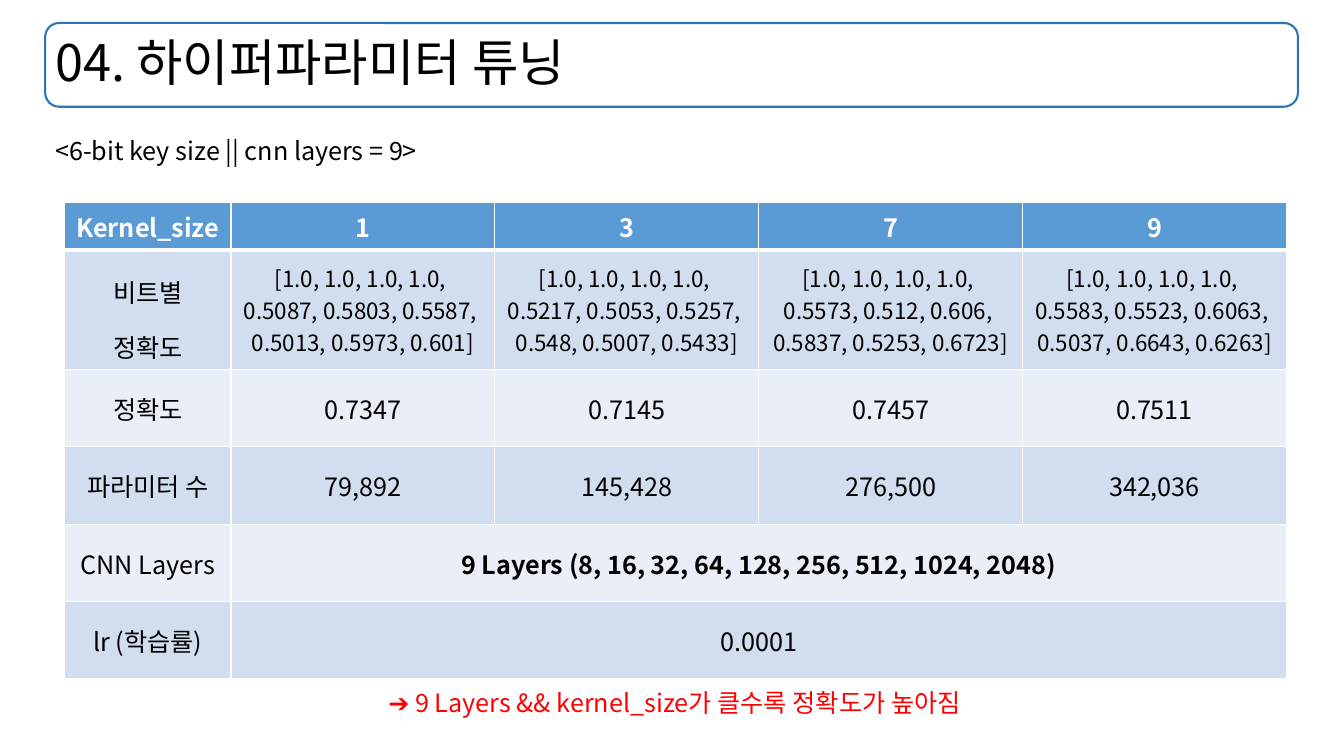
from dataclasses import dataclass

import pptx
import pptx.dml.color
import pptx.enum.shapes
import pptx.enum.text
import pptx.oxml
import pptx.oxml.ns
import pptx.util
from pptx.dml.color import RGBColor
from pptx.enum.text import MSO_ANCHOR, MSO_AUTO_SIZE, PP_ALIGN
from pptx.util import Cm, Pt

FONT = "Noto Sans CJK KR"
BLACK = RGBColor(0x00, 0x00, 0x00)
WHITE = RGBColor(0xFF, 0xFF, 0xFF)
RED = RGBColor(0xFF, 0x00, 0x00)
FRAME_BLUE = RGBColor(0x2E, 0x75, 0xB6)
HEADER_BLUE = RGBColor(0x5B, 0x9B, 0xD5)
BANDS = (RGBColor(0xEA, 0xEF, 0xF7), RGBColor(0xD2, 0xDE, 0xEF))

TITLE_BOX = (Cm(1.14), Cm(0.58), Cm(31.57), Cm(2.11))
LABEL_WIDTH, VALUE_WIDTH = Cm(4.19), Cm(6.65)
ROW_HEIGHTS = (Cm(1.19), Cm(2.34)) + (Cm(1.95),) * 4
HEADER_ROW, BITS_ROW = 0, 1

FIRST_BITS = "[1.0, 1.0, 1.0, 1.0, \n"
TABLE_ROWS = (
    ("Kernel_size", "1", "3", "7", "9"),
    (
        "비트별\n정확도",
        FIRST_BITS + "0.5087, 0.5803, 0.5587, \n0.5013, 0.5973, 0.601]",
        FIRST_BITS + "0.5217, 0.5053, 0.5257, \n0.548, 0.5007, 0.5433]",
        FIRST_BITS + "0.5573, 0.512, 0.606, \n0.5837, 0.5253, 0.6723]",
        FIRST_BITS + "0.5583, 0.5523, 0.6063, \n0.5037, 0.6643, 0.6263]",
    ),
    ("정확도", "0.7347", "0.7145", "0.7457", "0.7511"),
    ("파라미터 수", "79,892", "145,428", "276,500", "342,036"),
    ("CNN Layers", "9 Layers (8, 16, 32, 64, 128, 256, 512, 1024, 2048)"),
    ("lr (학습률)", "0.0001"),
)
LAYERS_ROW = 4


@dataclass(frozen=True)
class TextStyle:
    size: float = 18
    color: RGBColor = BLACK
    bold: bool = False
    align: PP_ALIGN = PP_ALIGN.CENTER
    line_spacing: float = 1.0


@dataclass(frozen=True)
class Caption:
    text: str
    left: float
    top: float
    width: float
    style: TextStyle


CAPTIONS = (
    Caption("<6-bit key size || cnn layers = 9>", 1.14, 2.9, 10.16,
            TextStyle(align=PP_ALIGN.LEFT, line_spacing=1.5)),
    Caption("➔ 9 Layers && kernel_size가 클수록 정확도가 높아짐", 8.53, 16.81, 16.94,
            TextStyle(color=RED, line_spacing=1.5)),
)


def write_text(text_frame: pptx.text.text.TextFrame, text: str, style: TextStyle) -> None:
    text_frame.text = text
    for paragraph in text_frame.paragraphs:
        paragraph.alignment = style.align
        paragraph.line_spacing = style.line_spacing
        for run in paragraph.runs:
            run.font.name = FONT
            run.font.size = Pt(style.size)
            run.font.bold = style.bold
            run.font.color.rgb = style.color
            east_asian = pptx.oxml.parse_xml(
                f'<a:ea {pptx.oxml.ns.nsdecls("a")} typeface="{FONT}"/>')
            run.font._element.find(pptx.oxml.ns.qn("a:latin")).addnext(east_asian)


def add_title(slide: pptx.slide.Slide) -> None:
    title = slide.shapes.title
    title.left, title.top, title.width, title.height = TITLE_BOX
    write_text(title.text_frame, "04. 하이퍼파라미터 튜닝",
               TextStyle(size=36, align=PP_ALIGN.LEFT, line_spacing=0.9))
    title.text_frame.vertical_anchor = MSO_ANCHOR.MIDDLE
    title.text_frame.auto_size = MSO_AUTO_SIZE.NONE

    frame = slide.shapes.add_shape(
        pptx.enum.shapes.MSO_SHAPE.ROUNDED_RECTANGLE, *TITLE_BOX)
    frame.shadow.inherit = False
    frame.fill.background()
    frame.line.color.rgb = FRAME_BLUE
    frame.line.width = Pt(1.5)
    title.element.addprevious(frame.element)


def add_caption(slide: pptx.slide.Slide, caption: Caption) -> None:
    box = slide.shapes.add_textbox(
        Cm(caption.left), Cm(caption.top), Cm(caption.width), Cm(1.3))
    box.text_frame.word_wrap = True
    box.text_frame.auto_size = MSO_AUTO_SIZE.SHAPE_TO_FIT_TEXT
    write_text(box.text_frame, caption.text, caption.style)


def set_borders(cell: pptx.table._Cell, row: int) -> None:
    widths = {
        "lnL": 1,
        "lnR": 1,
        "lnT": 3 if row == BITS_ROW else 1,
        "lnB": 3 if row == HEADER_ROW else 1,
    }
    properties = cell._tc.get_or_add_tcPr()
    for side, points in widths.items():
        properties.append(pptx.oxml.parse_xml(
            f'<a:{side} {pptx.oxml.ns.nsdecls("a")} w="{Pt(points)}">'
            f'<a:solidFill><a:srgbClr val="{WHITE}"/></a:solidFill></a:{side}>'))


def cell_style(row: int, column: int) -> TextStyle:
    if row == HEADER_ROW:
        return TextStyle(color=WHITE, bold=True)
    if row == BITS_ROW:
        return TextStyle(line_spacing=1.5) if column == 0 else TextStyle(size=16)
    return TextStyle(bold=row == LAYERS_ROW and column > 0)


def add_results_table(slide: pptx.slide.Slide) -> None:
    column_count = len(TABLE_ROWS[HEADER_ROW])
    widths = [LABEL_WIDTH] + [VALUE_WIDTH] * (column_count - 1)
    table = slide.shapes.add_table(
        len(TABLE_ROWS), column_count, Cm(1.63), Cm(5.11),
        sum(widths), sum(ROW_HEIGHTS)).table
    table.first_row = False
    table.horz_banding = False
    for column, width in zip(table.columns, widths):
        column.width = width

    for row, texts in enumerate(TABLE_ROWS):
        table.rows[row].height = ROW_HEIGHTS[row]
        for column in range(column_count):
            cell = table.cell(row, column)
            set_borders(cell, row)
            cell.fill.solid()
            cell.fill.fore_color.rgb = (
                HEADER_BLUE if row == HEADER_ROW else BANDS[row % 2])
            cell.vertical_anchor = MSO_ANCHOR.MIDDLE
            if column < len(texts):
                write_text(cell.text_frame, texts[column], cell_style(row, column))
        # A single value covers every kernel size
        if len(texts) < column_count:
            table.cell(row, 1).merge(table.cell(row, column_count - 1))


def main() -> None:
    presentation = pptx.Presentation()
    presentation.slide_width = Cm(33.87)
    presentation.slide_height = Cm(19.05)
    slide = presentation.slides.add_slide(presentation.slide_layouts[5])
    add_title(slide)
    add_results_table(slide)
    for caption in CAPTIONS:
        add_caption(slide, caption)
    presentation.save("out.pptx")


if __name__ == "__main__":
    main()
